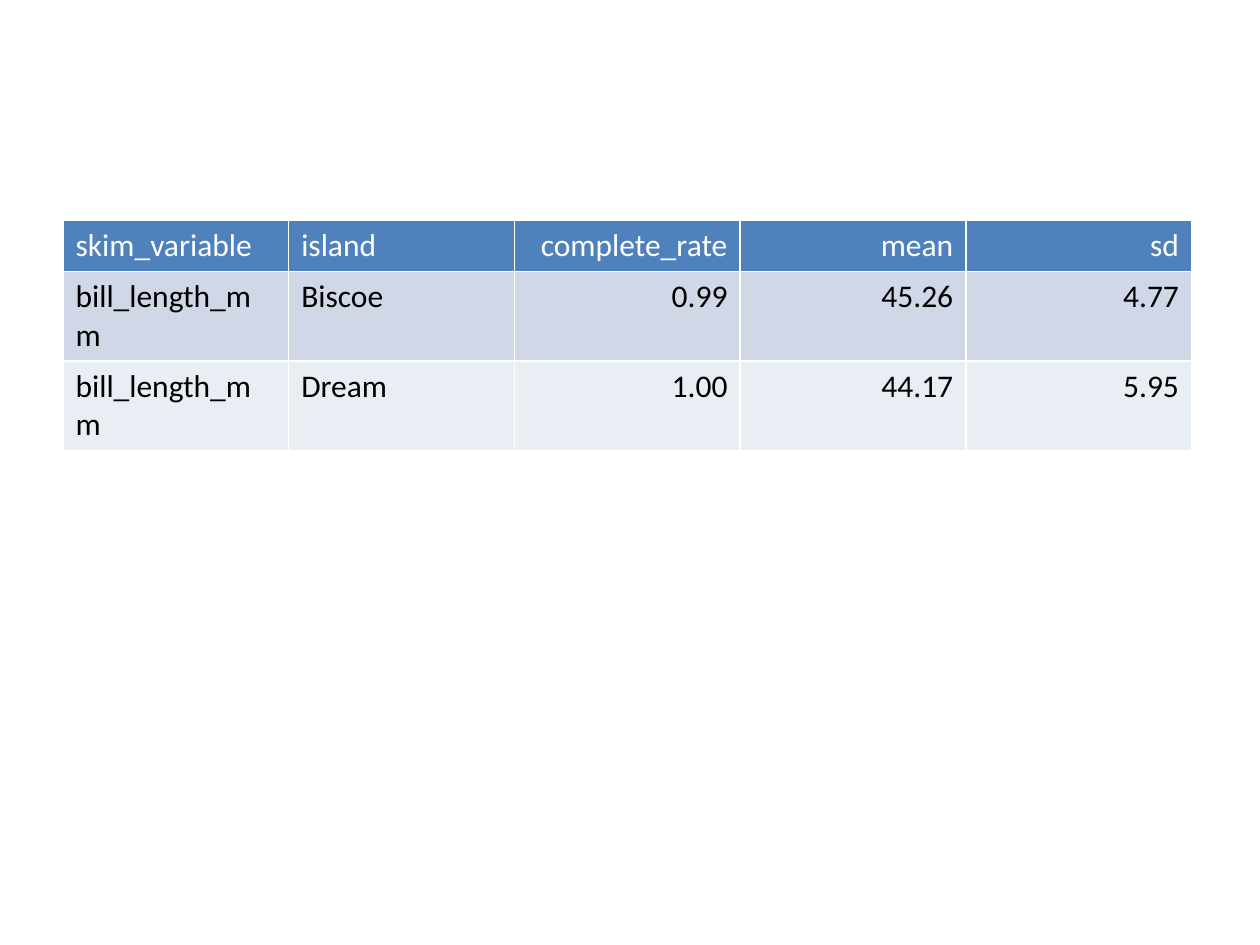
from pptx import Presentation
from pptx.dml.color import RGBColor as RGB
from pptx.enum.text import PP_ALIGN as Align
from pptx.util import Pt

HEAD = ["skim_variable", "island", "complete_rate", "mean", "sd"]
ROWS = [
    ["bill_length_mm", "Biscoe", "0.99", "45.26", "4.77"],
    ["bill_length_mm", "Dream", "1.00", "44.17", "5.95"],
]


def paint(font, ink):
    font.color.rgb = RGB.from_string(ink)


class Deck:
    """Holds the table style and the current slide."""

    face, size = "Calibri", 18
    head, bands = "4F81BD", ["D0D8E8", "E9EDF4"]
    light, dark = "FFFFFF", "000000"

    def __init__(self, wide, high):
        self.show = Presentation()
        self.show.slide_width, self.show.slide_height = Pt(wide), Pt(high)
        self.slide = self.show.slides.add_slide(self.show.slide_layouts[6])

    def cell(self, cell, text, fill, ink, align):
        cell.fill.solid()
        paint_fill = cell.fill.fore_color
        paint_fill.rgb = RGB.from_string(fill)
        cell.text = text
        para = cell.text_frame.paragraphs[0]
        para.alignment = align
        font = para.font
        font.name, font.size, font.bold = self.face, Pt(self.size), False
        paint(font, ink)

    def table(self, left, top, width, heights, rows, labels):
        table = self.slide.shapes.add_table(
            len(rows), len(rows[0]), Pt(left), Pt(top), Pt(width), Pt(sum(heights))
        ).table
        for r, (row, high) in enumerate(zip(rows, heights)):
            table.rows[r].height = Pt(high)
            fill = self.bands[(r - 1) % 2] if r else self.head
            ink = self.dark if r else self.light
            for c, text in enumerate(row):
                align = Align.LEFT if c < labels else Align.RIGHT
                self.cell(table.cell(r, c), text, fill, ink, align)

    def save(self):
        self.show.save("out.pptx")


def main():
    deck = Deck(720, 540)
    deck.table(36, 126, 645, [29.2, 51.2, 51.2], [HEAD] + ROWS, labels=2)
    deck.save()


if __name__ == "__main__":
    main()
